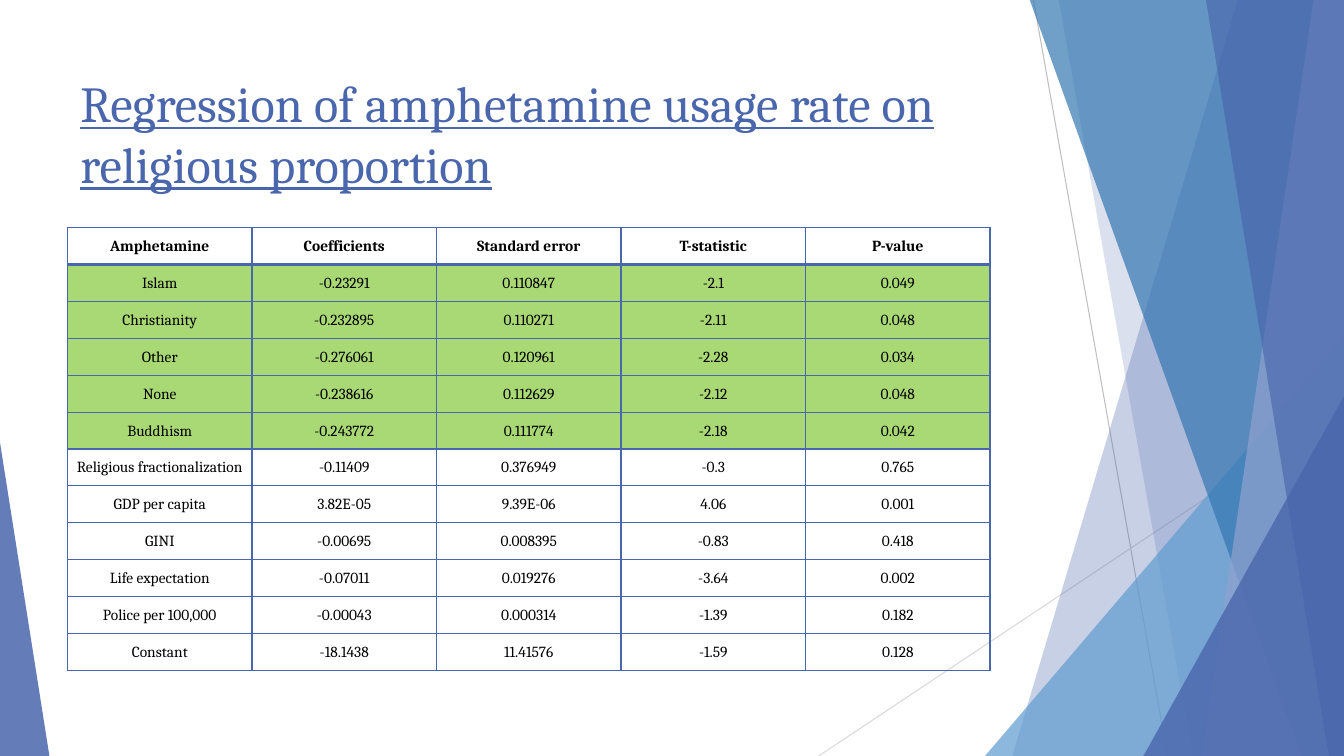
from lxml.etree import SubElement
from pptx import Presentation
from pptx.dml.color import RGBColor
from pptx.enum.shapes import MSO_CONNECTOR, MSO_SHAPE
from pptx.enum.text import MSO_ANCHOR, PP_ALIGN
from pptx.oxml.ns import qn
from pptx.util import Inches, Pt

COLORS = {
    "blue": "4A66AC", "sky": "629DD1", "ocean": "3477B2", "mist": "90A2CF",
    "green": "92D050", "black": "000000", "gray": "BFBFBF", "silver": "D9D9D9",
}
FONT = "Cambria"
WIDTH, HEIGHT, TOP = 13.33, 7.5, -0.01

TITLE = "Regression of amphetamine usage rate on religious proportion"
HEADER = ("Amphetamine", "Coefficients", "Standard error", "T-statistic", "P-value")
SIGNIFICANT_RELIGIONS = [
    ("Islam", "-0.23291", "0.110847", "-2.1", "0.049"),
    ("Christianity", "-0.232895", "0.110271", "-2.11", "0.048"),
    ("Other", "-0.276061", "0.120961", "-2.28", "0.034"),
    ("None", "-0.238616", "0.112629", "-2.12", "0.048"),
    ("Buddhism", "-0.243772", "0.111774", "-2.18", "0.042"),
]
CONTROLS = [
    ("Religious fractionalization", "-0.11409", "0.376949", "-0.3", "0.765"),
    ("GDP per capita", "3.82E-05", "9.39E-06", "4.06", "0.001"),
    ("GINI", "-0.00695", "0.008395", "-0.83", "0.418"),
    ("Life expectation", "-0.07011", "0.019276", "-3.64", "0.002"),
    ("Police per 100,000", "-0.00043", "0.000314", "-1.39", "0.182"),
    ("Constant", "-18.1438", "11.41576", "-1.59", "0.128"),
]
ROWS = [HEADER, *SIGNIFICANT_RELIGIONS, *CONTROLS]
TABLE_LEFT, TABLE_TOP, TABLE_WIDTH, TABLE_HEIGHT = 0.67, 2.26, 9.15, 4.39

RAYS = [
    ((10.25, 0), (11.58, HEIGHT), "gray"),
    ((WIDTH, 4.03), (8.12, HEIGHT), "silver"),
]
FACETS = [
    ("band", 12.28, 10.04, "blue", 30),
    ("band", 10.5, 11.83, "blue", 20),
    ("triangle", (9.77, 3.33, 3.56), 1, "sky", 72),
    ("band", 10.21, 12.91, "ocean", 70),
    ("band", 13.03, 11.92, "mist", 70),
    ("band", 11.96, 13.18, "blue", 65),
    ("triangle", (11.34, 3.93, 1.99), 1, "blue", 80),
    ("triangle", (0, 4.39, 0.49), 0, "blue", 85),
]


def rgb(color):
    return RGBColor.from_string(COLORS[color])


def paint(fill, parent, color, opacity):
    fill.solid()
    fill.fore_color.rgb = rgb(color)
    srgb = parent.find(qn("a:solidFill")).find(qn("a:srgbClr"))
    SubElement(srgb, qn("a:alpha"), val=str(opacity * 1000))


def style(paragraph, size, color):
    font = paragraph.runs[0].font
    font.name, font.size, font.color.rgb = FONT, Pt(size), rgb(color)
    return font


def add_ray(shapes, start, end, color):
    ray = shapes.add_connector(MSO_CONNECTOR.STRAIGHT, *map(Inches, start + end))
    ray.line.color.rgb = rgb(color)
    ray.line.width = Pt(0.75)
    SubElement(ray._element.spPr, qn("a:effectLst"))


def add_facet(shapes, kind, place, foot, color, opacity):
    if kind == "band":
        outline = shapes.build_freeform(Inches(place), Inches(TOP))
        corners = [(WIDTH, TOP), (WIDTH, HEIGHT), (foot, HEIGHT)]
        outline.add_line_segments([(Inches(x), Inches(y)) for x, y in corners])
        facet = outline.convert_to_shape()
    else:
        left, top, width = place
        facet = shapes.add_shape(MSO_SHAPE.ISOSCELES_TRIANGLE,
                                 *map(Inches, (left, top, width, HEIGHT - top)))
        facet.adjustments[0] = foot
    facet.shadow.inherit = False
    facet.line.fill.background()
    paint(facet.fill, facet._element.spPr, color, opacity)


def add_borders(properties, bottom_width):
    widths = {"a:lnL": 1, "a:lnR": 1, "a:lnT": 1, "a:lnB": bottom_width}
    for position, (side, width) in enumerate(widths.items()):
        border = properties.makeelement(qn(side), {"w": str(Pt(width))})
        SubElement(SubElement(border, qn("a:solidFill")), qn("a:srgbClr"), val=COLORS["blue"])
        properties.insert(position, border)


def add_title(shapes):
    title = shapes.add_textbox(*map(Inches, (0.7, 0.67, 9.4, 1.44))).text_frame
    title.word_wrap = True
    title.vertical_anchor = MSO_ANCHOR.TOP
    title.text = TITLE
    style(title.paragraphs[0], 36, "blue").underline = True


def add_regression(shapes):
    regression = shapes.add_table(
        len(ROWS), len(HEADER),
        *map(Inches, (TABLE_LEFT, TABLE_TOP, TABLE_WIDTH, TABLE_HEIGHT))).table
    regression.horz_banding = False
    for r, values in enumerate(ROWS):
        for c, value in enumerate(values):
            cell = regression.cell(r, c)
            cell.margin_left = cell.margin_right = cell.margin_top = Inches(0.01)
            cell.margin_bottom = 0
            cell.vertical_anchor = MSO_ANCHOR.MIDDLE
            cell.text = value
            paragraph = cell.text_frame.paragraphs[0]
            paragraph.alignment = PP_ALIGN.CENTER
            style(paragraph, 11, "black").bold = r == 0
            properties = cell._tc.get_or_add_tcPr()
            if values in SIGNIFICANT_RELIGIONS:
                paint(cell.fill, properties, "green", 79)
            else:
                cell.fill.background()
            add_borders(properties, 2 if r == 0 else 1)


def main():
    deck = Presentation()
    deck.slide_width, deck.slide_height = Inches(WIDTH), Inches(HEIGHT)
    shapes = deck.slides.add_slide(deck.slide_layouts[6]).shapes
    for ray in RAYS:
        add_ray(shapes, *ray)
    for facet in FACETS:
        add_facet(shapes, *facet)
    add_title(shapes)
    add_regression(shapes)
    deck.save("out.pptx")


if __name__ == "__main__":
    main()
